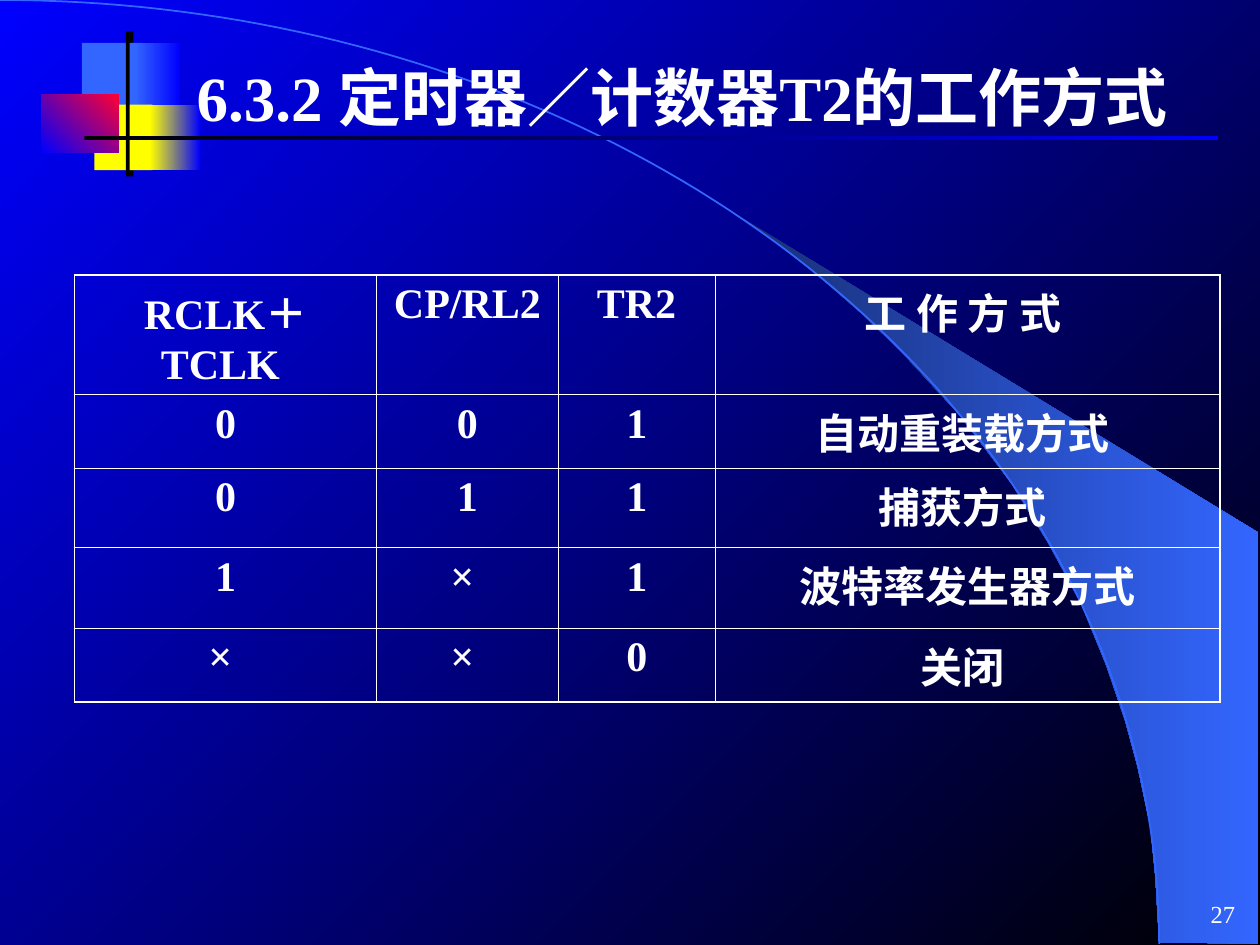
"""Build a slide about the working modes of timer/counter T2."""
from dataclasses import dataclass
from math import cos, pi, sin
from typing import Optional

from lxml.etree import SubElement
from pptx import Presentation
from pptx.dml.color import RGBColor
from pptx.dml.fill import FillFormat
from pptx.enum.shapes import MSO_SHAPE
from pptx.enum.text import MSO_ANCHOR, MSO_AUTO_SIZE, PP_ALIGN
from pptx.oxml.ns import qn
from pptx.util import Inches, Pt

WHITE = RGBColor(0xFF, 0xFF, 0xFF)
BLACK = RGBColor(0x00, 0x00, 0x00)
BLUE = RGBColor(0x00, 0x00, 0xFF)
SKY = RGBColor(0x33, 0x66, 0xFF)
NAVY = RGBColor(0x18, 0x2F, 0x76)
YELLOW = RGBColor(0xFF, 0xFF, 0x00)
RED = RGBColor(0xFF, 0x00, 0x33)
FONT = "Times New Roman"
THIN, THICK = 0.45, 1.08
ARC_W, ARC_H, ARC_STEPS = 9.2, 7.49, 90


@dataclass
class Block:
    """A decorative rectangle with a plain or gradient fill."""
    x: float
    y: float
    w: float
    h: float
    start: RGBColor
    end: Optional[RGBColor] = None
    angle: float = 0


BLOCKS = [
    Block(1.03, 0.25, 0.03, 1.15, BLACK),
    Block(0.65, 0.34, 0.48, 0.52, SKY),
    Block(1.07, 0.34, 0.36, 0.52, SKY, BLUE),
    Block(0.75, 0.83, 0.46, 0.52, YELLOW),
    Block(1.19, 0.83, 0.4, 0.52, YELLOW, BLUE),
    Block(0.33, 0.75, 0.61, 0.46, BLUE, RED, 45),
    Block(1, 0.25, 0.03, 1.15, BLACK),
    Block(0.67, 1.08, 9, 0.03, BLACK, BLUE),
]
BEAM = [
    (9.2, 7.48), (9.99, 7.49), (9.99, 4.23), (5.89, 1.73), (6.24, 1.99),
    (6.53, 2.22), (6.85, 2.5), (7.16, 2.8), (7.62, 3.3), (8.03, 3.84),
    (8.32, 4.31), (8.58, 4.79), (8.78, 5.28), (8.93, 5.72), (9.03, 6.09),
    (9.13, 6.56), (9.17, 6.96),
]
COL_WIDTHS = [2.4, 1.44, 1.25, 4]
ROW_HEIGHTS = [0.9, 0.57, 0.63, 0.64, 0.5]
MODES = [
    ["RCLK＋TCLK ", "CP/RL2 ", " TR2 ", "工 作 方 式 "],
    ["0", "0", "1", "自动重装载方式 "],
    ["0", "1", "1", "捕获方式 "],
    ["1", "× ", "1", "波特率发生器方式"],
    ["× ", "× ", "0", "关闭 "],
]


def set_gradient(fill: FillFormat, start: RGBColor, end: RGBColor, angle: float = 0) -> None:
    """Fill with a linear gradient, its angle counter-clockwise."""
    fill.gradient()
    fill.gradient_angle = angle
    for stop, color in zip(fill.gradient_stops, (start, end)):
        stop.color.rgb = color


def add_block(s, block: Block) -> None:
    """Draw one decorative rectangle."""
    sp = s.shapes.add_shape(MSO_SHAPE.RECTANGLE, *map(Inches, (block.x, block.y, block.w, block.h)))
    sp.shadow.inherit = False
    sp.line.fill.background()
    if block.end is None:
        sp.fill.solid()
        sp.fill.fore_color.rgb = block.start
    else:
        set_gradient(sp.fill, block.start, block.end, block.angle)


def add_outline(s, points: list[tuple[float, float]], close: bool):
    """Draw a freeform through points given in inches."""
    pts = [(Inches(x), Inches(y)) for x, y in points]
    builder = s.shapes.build_freeform(*pts[0])
    builder.add_line_segments(pts[1:], close=close)
    sp = builder.convert_to_shape()
    sp.shadow.inherit = False
    return sp


def write(tf, text: str, *, size: float, bold: bool = False, align=PP_ALIGN.CENTER) -> None:
    """Put white text into a text frame."""
    p = tf.paragraphs[0]
    p.alignment = align
    r = p.add_run()
    r.text = text
    r.font.name = FONT
    r.font.size = Pt(size)
    r.font.bold = bold
    r.font.color.rgb = WHITE


def add_border(cell, side: str, width: float) -> None:
    """Add a white border to one side of a cell."""
    ln = SubElement(cell._tc.get_or_add_tcPr(), qn(f"a:ln{side}"), w=str(Pt(width)))
    SubElement(SubElement(ln, qn("a:solidFill")), qn("a:srgbClr"), val=str(WHITE))


def add_mode_table(s) -> None:
    """Draw the table of modes with a thicker outer frame."""
    rows, cols = len(MODES), len(COL_WIDTHS)
    table = s.shapes.add_table(rows, cols, Inches(0.59), Inches(2.18),
                               Inches(sum(COL_WIDTHS)), Inches(sum(ROW_HEIGHTS))).table
    table.first_row = table.horz_banding = False
    for col, width in zip(table.columns, COL_WIDTHS):
        col.width = Inches(width)
    for i, (row, height) in enumerate(zip(table.rows, ROW_HEIGHTS)):
        row.height = Inches(height)
        for j, cell in enumerate(row.cells):
            outer = {"L": j == 0, "R": j == cols - 1, "T": i == 0, "B": i == rows - 1}
            for side, is_outer in outer.items():
                add_border(cell, side, THICK if is_outer else THIN)
            cell.fill.background()
            write(cell.text_frame, MODES[i][j], size=24, bold=True)


def main() -> None:
    """Build and save the slide."""
    prs = Presentation()
    prs.slide_width, prs.slide_height = Inches(10), Inches(7.5)
    s = prs.slides.add_slide(prs.slide_layouts[5])
    set_gradient(s.background.fill, BLUE, BLACK, 315)

    beam = add_outline(s, BEAM, close=True)
    set_gradient(beam.fill, NAVY, SKY)
    beam.line.fill.background()
    angles = [pi / 2 * i / ARC_STEPS for i in range(ARC_STEPS + 1)]
    arc = add_outline(s, [(ARC_W * sin(a), ARC_H * (1 - cos(a))) for a in angles], close=False)
    arc.fill.background()
    arc.line.color.rgb = SKY
    arc.line.width = Pt(1)
    for block in BLOCKS:
        add_block(s, block)

    number = s.shapes.add_textbox(Inches(9.41), Inches(7), Inches(0.59), Inches(0.5))
    number.text_frame.word_wrap = True
    number.text_frame.vertical_anchor = MSO_ANCHOR.MIDDLE
    write(number.text_frame, "27", size=14)

    title = s.shapes.title
    title.left, title.top, title.width, title.height = map(Inches, (1.46, 0.36, 8.35, 0.81))
    title.text_frame.auto_size = MSO_AUTO_SIZE.NONE
    title.text_frame.vertical_anchor = MSO_ANCHOR.MIDDLE
    write(title.text_frame, "6.3.2 定时器／计数器T2的工作方式", size=36, bold=True, align=PP_ALIGN.LEFT)
    title.element.getparent().append(title.element)

    add_mode_table(s)
    prs.save("out.pptx")


if __name__ == "__main__":
    main()
